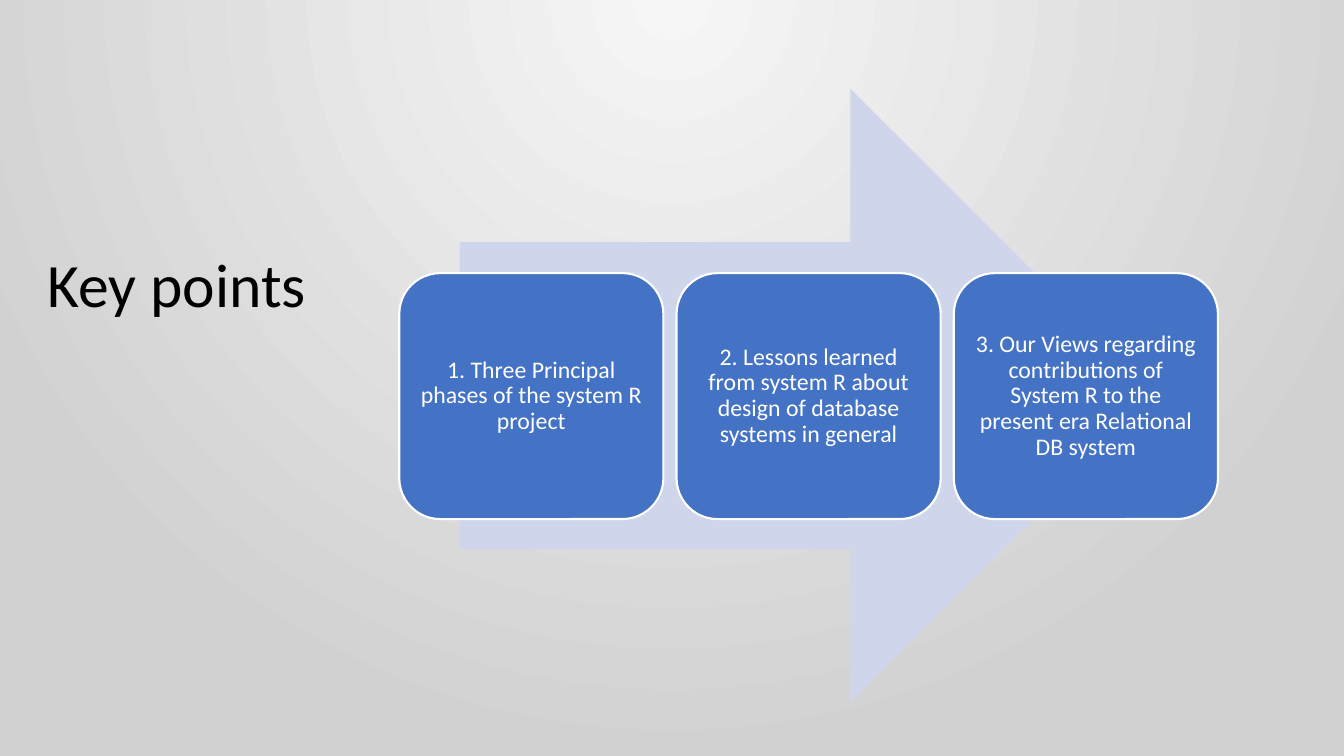
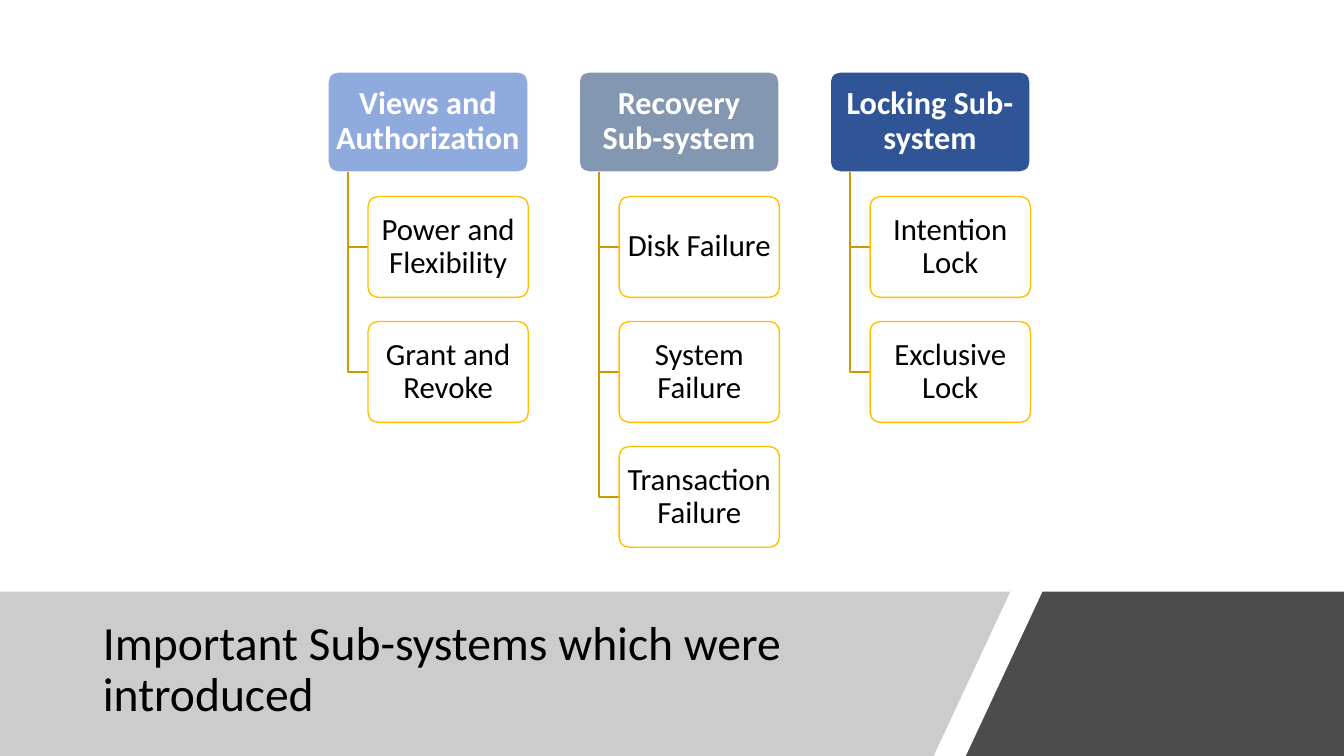
from lxml import etree
from pptx import Presentation
from pptx.dml.color import RGBColor
from pptx.enum import shapes, text
from pptx.oxml import ns, parse_xml
from pptx.util import Inches, Pt

# Content
KEY_TITLE = "Key points"
KEY_POINTS = [
    "1. Three Principal phases of the system R project",
    "2. Lessons learned from system R about design of database systems in general",
    "3. Our Views regarding contributions of System R to the present era Relational DB system",
]
SUBSYSTEM_TITLE = "Important Sub-systems which were introduced"
SUBSYSTEMS = [
    ("Views and Authorization", RGBColor(0x8F, 0xAA, 0xDC),
     ["Power and Flexibility", "Grant and Revoke"]),
    ("Recovery Sub-system", RGBColor(0x84, 0x97, 0xB0),
     ["Disk Failure", "System Failure", "Transaction Failure"]),
    ("Locking Sub-system", RGBColor(0x2F, 0x55, 0x97),
     ["Intention Lock", "Exclusive Lock"]),
]

# Shared style
FONT = "Calibri"
BLACK = RGBColor(0, 0, 0)
WHITE = RGBColor(0xFF, 0xFF, 0xFF)
GREY = RGBColor(0x80, 0x80, 0x80)
BLUE = RGBColor(0x44, 0x72, 0xC4)
PALE_BLUE = RGBColor(0xCF, 0xD5, 0xEA)
GOLD = RGBColor(0xFF, 0xC0, 0x00)
DARK_GOLD = RGBColor(0xCC, 0x9A, 0x00)
GLOW_CENTRE = RGBColor(0xF6, 0xF6, 0xF6)
GLOW_EDGE = RGBColor(0xD2, 0xD1, 0xD1)
WIDTH, HEIGHT = 13.33, 7.5


def paint(shape, fill=None, line=None, line_pt=1, alpha=100):
    shape.shadow.inherit = False
    if fill is None:
        shape.fill.background()
    else:
        shape.fill.solid()
        shape.fill.fore_color.rgb = fill
        if alpha < 100:
            color = shape.fill._xPr.find(".//" + ns.qn("a:srgbClr"))
            etree.SubElement(color, ns.qn("a:alpha"), val=str(alpha * 1000))
    if line is None:
        shape.line.fill.background()
    else:
        shape.line.color.rgb = line
        shape.line.width = Pt(line_pt)


def write(shape, words, size, color, align, anchor, bold=False):
    frame = shape.text_frame
    frame.text = words
    frame.word_wrap = True
    frame.auto_size = text.MSO_AUTO_SIZE.NONE
    frame.vertical_anchor = anchor
    paragraph = frame.paragraphs[0]
    paragraph.alignment = align
    paragraph.line_spacing = 0.9
    font = paragraph.runs[0].font
    font.name, font.size, font.bold = FONT, Pt(size), bold
    font.color.rgb = color


def add_title(slide, words, place, size, anchor):
    title = slide.shapes.title
    title.left, title.top, title.width, title.height = map(Inches, place)
    write(title, words, size, BLACK, text.PP_ALIGN.LEFT, anchor)
    slide.shapes._spTree.append(title._element)  # in front of what is drawn so far


def add_card(slide, place, words, size, color, margins, bold=False, corner=None, **paints):
    card = slide.shapes.add_shape(shapes.MSO_SHAPE.ROUNDED_RECTANGLE, *map(Inches, place))
    if corner is not None:
        card.adjustments[0] = corner
    paint(card, **paints)
    frame = card.text_frame
    frame.margin_left = frame.margin_right = Inches(margins[0])
    frame.margin_top = frame.margin_bottom = Inches(margins[1])
    write(card, words, size, color, text.PP_ALIGN.CENTER, text.MSO_ANCHOR.MIDDLE, bold)


def add_outline(slide, points, close=True, **paints):
    first, *rest = [(Inches(x), Inches(y)) for x, y in points]
    builder = slide.shapes.build_freeform(*first)
    builder.add_line_segments(rest, close=close)
    paint(builder.convert_to_shape(), **paints)


def set_glow(slide):
    slide.element.cSld.insert(0, parse_xml(
        f'<p:bg {ns.nsdecls("p", "a")}><p:bgPr><a:gradFill rotWithShape="1"><a:gsLst>'
        f'<a:gs pos="0"><a:srgbClr val="{GLOW_CENTRE}"/></a:gs>'
        f'<a:gs pos="100000"><a:srgbClr val="{GLOW_EDGE}"/></a:gs></a:gsLst>'
        '<a:path path="circle"><a:fillToRect l="43000" t="0" r="43000" b="100000"/></a:path>'
        '</a:gradFill><a:effectLst/></p:bgPr></p:bg>'))


def build_key_points(slide):
    set_glow(slide)
    add_title(slide, KEY_TITLE, (0.37, 2.47, 3.58, 2.92), 44, text.MSO_ANCHOR.TOP)
    arrow = slide.shapes.add_shape(
        shapes.MSO_SHAPE.RIGHT_ARROW, *map(Inches, (4.56, 0.88, 6.92, 6.09)))
    paint(arrow, PALE_BLUE)
    # Row of steps over the arrow
    left, width, gap = 3.96, 2.62, 0.13
    for i, point in enumerate(KEY_POINTS):
        add_card(slide, (left + i * (width + gap), 2.71, width, 2.44), point, 17, WHITE,
                 (0.07, 0.07), fill=BLUE, line=WHITE, line_pt=1.5)


def build_subsystems(slide):
    # Slanted bottom band
    band_top = 5.87
    add_outline(slide, [(0, band_top), (10.02, band_top), (9.26, HEIGHT), (0, HEIGHT)],
                fill=GREY, alpha=40)
    add_outline(slide, [(10.34, band_top), (WIDTH, band_top), (WIDTH, HEIGHT), (9.58, HEIGHT)],
                fill=BLACK, alpha=70)
    add_title(slide, SUBSYSTEM_TITLE, (0.92, 6.05, 8.44, 1.2), 34, text.MSO_ANCHOR.MIDDLE)

    # One tree per sub-system
    left, top, width, height = 3.25, 0.71, 1.99, 1
    column_gap, row_gap, indent = 0.5, 0.24, 0.2
    card_style = dict(margins=(0.05, 0.03), corner=0.1)
    for column, (name, color, parts) in enumerate(SUBSYSTEMS):
        x = left + column * (width + column_gap)
        add_card(slide, (x, top, width, height), name, 23, WHITE, bold=True,
                 fill=color, line=WHITE, line_pt=1.5, **card_style)
        trunk, part_left = x + indent, x + 2 * indent
        for row, part in enumerate(parts, 1):
            y = top + row * (height + row_gap)
            middle = y + height / 2
            add_outline(slide, [(trunk, top + height), (trunk, middle), (part_left, middle)],
                        close=False, line=DARK_GOLD)
            add_card(slide, (part_left, y, width - 2 * indent, height), part, 22, BLACK,
                     fill=WHITE, alpha=90, line=GOLD, **card_style)


def main():
    deck = Presentation()
    deck.slide_width, deck.slide_height = Inches(WIDTH), Inches(HEIGHT)
    title_only = deck.slide_layouts[5]
    for build in (build_key_points, build_subsystems):
        build(deck.slides.add_slide(title_only))
    deck.save("out.pptx")


if __name__ == "__main__":
    main()
